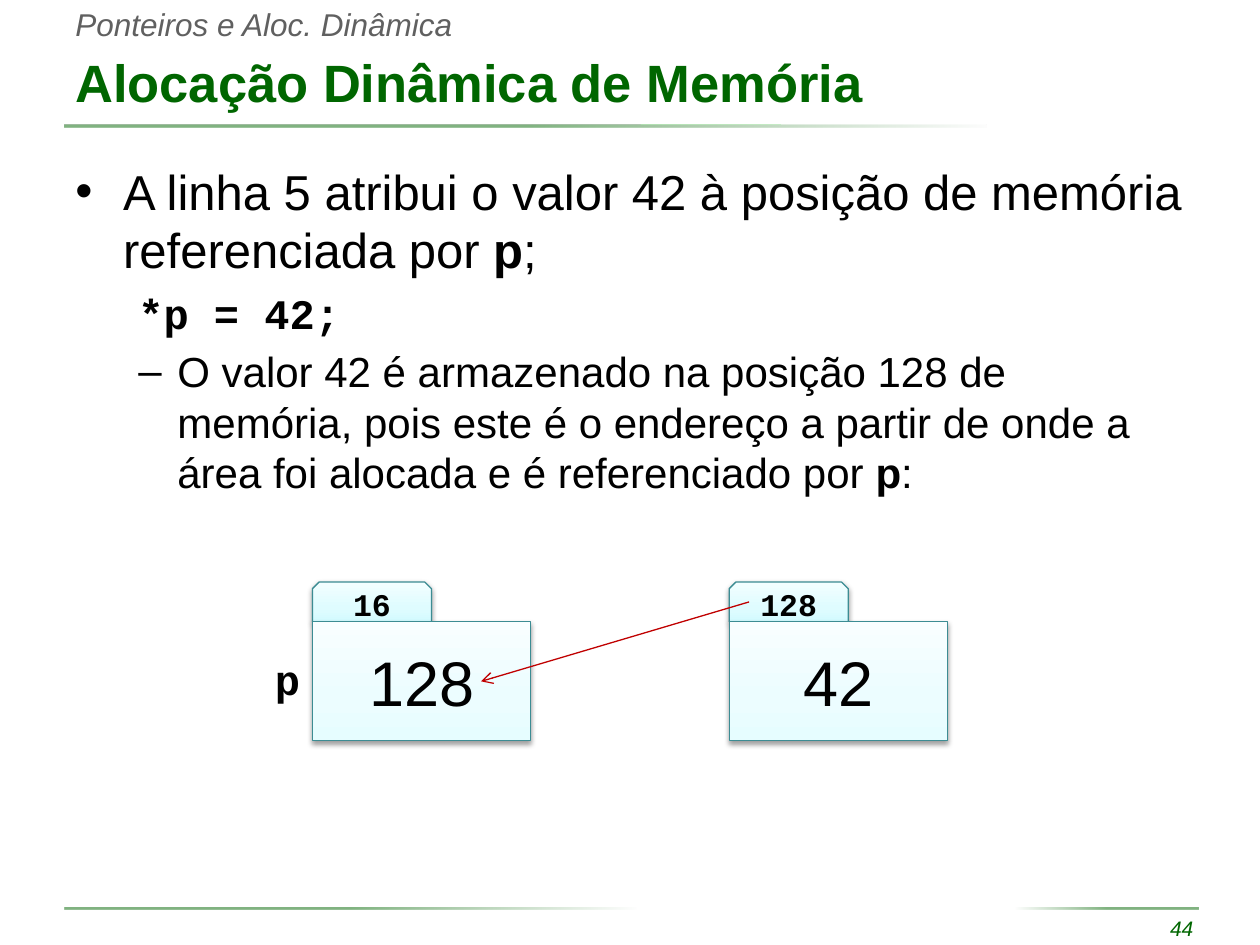
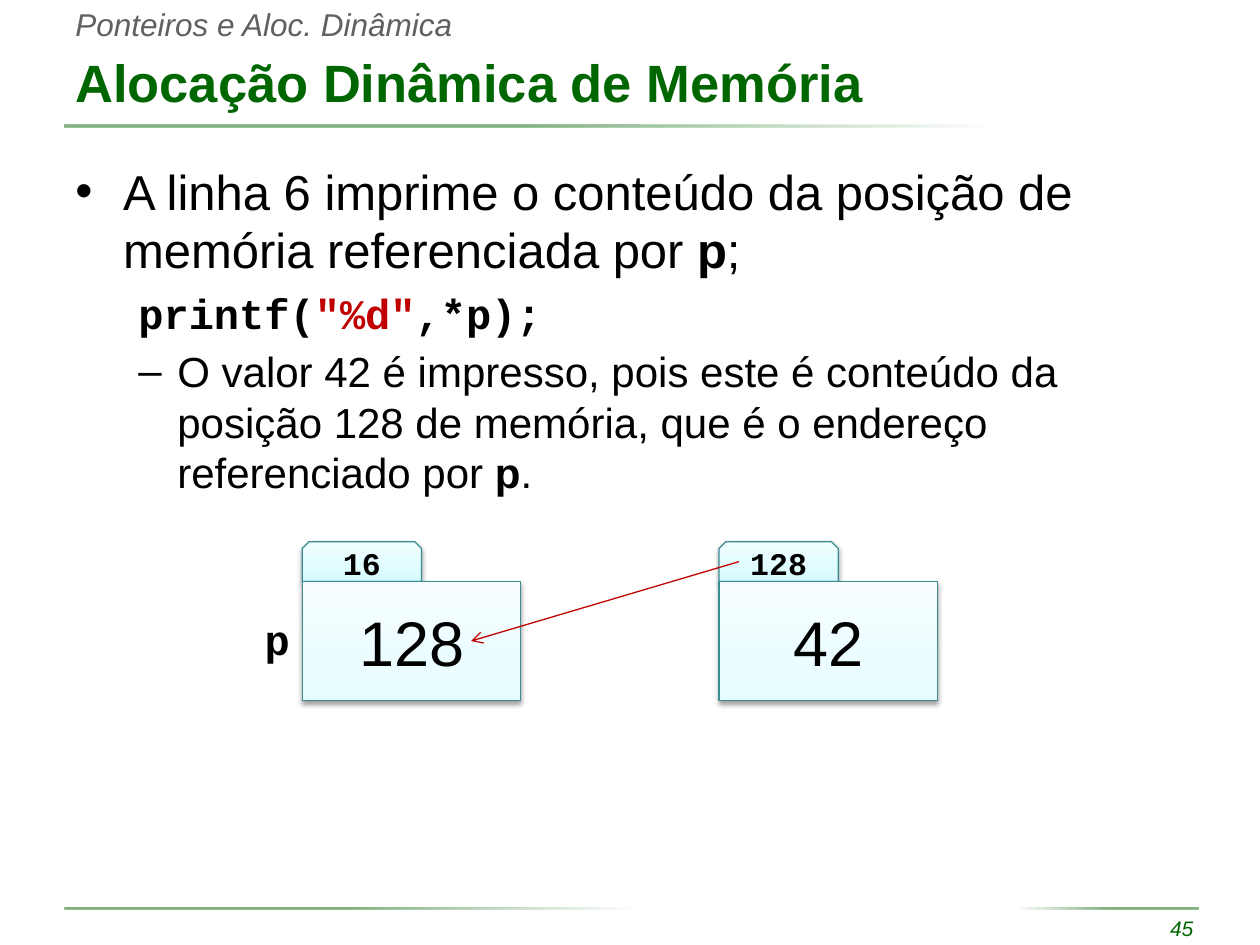
from dataclasses import dataclass

from lxml import etree
from pptx import Presentation
from pptx.dml.color import RGBColor
from pptx.enum.shapes import MSO_CONNECTOR, MSO_SHAPE
from pptx.enum.text import MSO_ANCHOR, PP_ALIGN
from pptx.oxml.ns import qn
from pptx.util import Inches, Pt

GREEN = RGBColor(0x00, 0x66, 0x00)
GRAY = RGBColor(0x60, 0x60, 0x60)
BLACK = RGBColor(0x00, 0x00, 0x00)
RED = RGBColor(0xC0, 0x00, 0x00)
TEAL = RGBColor(0x3C, 0x8C, 0x93)
WHITE = RGBColor(0xFF, 0xFF, 0xFF)
NEAR_WHITE = RGBColor(0xFC, 0xFC, 0xFC)
TAB_TINTS = (RGBColor(0xD3, 0xFB, 0xFF), RGBColor(0xDF, 0xFC, 0xFF), RGBColor(0xF2, 0xFE, 0xFF))
CELL_TINTS = (RGBColor(0xE6, 0xFD, 0xFF), RGBColor(0xEC, 0xFD, 0xFF), RGBColor(0xF8, 0xFE, 0xFF))

SANS, MONO = "Arial", "Courier New"
LEFT, CENTER, RIGHT = PP_ALIGN.LEFT, PP_ALIGN.CENTER, PP_ALIGN.RIGHT
TOP, MIDDLE = MSO_ANCHOR.TOP, MSO_ANCHOR.MIDDLE
RECT, TAB = MSO_SHAPE.RECTANGLE, MSO_SHAPE.SNIP_2_SAME_RECTANGLE
STRAIGHT = MSO_CONNECTOR.STRAIGHT

SLIDE_W, SLIDE_H = 10, 7.5
MARGIN = 0.05 * SLIDE_W
CONTENT_W = SLIDE_W - 2 * MARGIN
RULE_LEFT, RULE_H, FOOTER_TOP = 0.51, 0.02, 0.96 * SLIDE_H
UNIT = 0.315  # grid step of the memory diagram
TAB_COLS, CELL_COLS, CELL_ROWS, CELL_PITCH = 3, 5.5, 3, 10.5


@dataclass(frozen=True)
class Span:
    text: str
    size: float
    font: str = SANS
    color: RGBColor = BLACK
    bold: bool = False
    italic: bool = False


@dataclass(frozen=True)
class Para:
    spans: tuple[Span, ...]
    align: PP_ALIGN = LEFT
    level: int = 0
    margin: float = 0
    indent: float = 0
    bullet: str = ""
    space_before: int = 0  # percent of a line


@dataclass(frozen=True)
class Rule:
    left: float
    top: float
    width: float
    end_color: RGBColor
    angle: int


@dataclass(frozen=True)
class MemoryCell:
    address: str
    value: str


@dataclass(frozen=True)
class Lesson:
    number: int
    body: tuple[Para, ...]
    diagram_left: float
    diagram_top: float


RULES = (
    Rule(RULE_LEFT, 0.99, 7.32, NEAR_WHITE, 0),
    Rule(RULE_LEFT, FOOTER_TOP, 4.54, WHITE, 0),
    Rule(8.06, FOOTER_TOP, 1.45, WHITE, 180),
)
CELLS = (MemoryCell("16", "128"), MemoryCell("128", "42"))


def ending_in_p(text: str, mark: str, size: float) -> tuple[Span, ...]:
    """A sentence that closes with the pointer name in bold and a mark."""
    return Span(text, size), Span("p", size, bold=True), Span(mark, size)


def topic(text: str) -> Para:
    return Para(ending_in_p(text, ";", 28), margin=0.38, indent=-0.38,
                bullet="•", space_before=20)


def code(*pieces: tuple[str, RGBColor]) -> Para:
    spans = tuple(Span(text, 24, MONO, color, bold=True) for text, color in pieces)
    return Para(spans, level=1, margin=0.5, space_before=20)


def detail(text: str, mark: str) -> Para:
    return Para(ending_in_p(text, mark, 24), level=1, margin=0.81, indent=-0.31,
                bullet="–", space_before=20)


LESSONS = (
    Lesson(44, (
        topic("A linha 5 atribui o valor 42 à posição de memória referenciada por "),
        code(("*p = 42;", BLACK)),
        detail("O valor 42 é armazenado na posição 128 de memória, pois este é o "
               "endereço a partir de onde a área foi alocada e é referenciado por ", ":"),
    ), 2.48, 4.62),
    Lesson(45, (
        topic("A linha 6 imprime o conteúdo da posição de memória referenciada por "),
        code(("printf(", BLACK), ('"%d"', RED), (",*p);", BLACK)),
        detail("O valor 42 é impresso, pois este é conteúdo da posição 128 de memória, "
               "que é o endereço referenciado por ", "."),
    ), 2.4, 4.3),
)


def write(frame, paras: tuple[Para, ...], anchor: MSO_ANCHOR = TOP, wrap: bool = True) -> None:
    frame.word_wrap = wrap
    frame.vertical_anchor = anchor
    for index, para in enumerate(paras):
        paragraph = frame.add_paragraph() if index else frame.paragraphs[0]
        paragraph.alignment = para.align
        paragraph.level = para.level
        props = paragraph._p.get_or_add_pPr()
        props.set("marL", str(Inches(para.margin)))
        props.set("indent", str(Inches(para.indent)))
        if para.space_before:
            spacing = etree.SubElement(props, qn("a:spcBef"))
            etree.SubElement(spacing, qn("a:spcPct"), val=str(para.space_before * 1000))
        if para.bullet:
            etree.SubElement(props, qn("a:buFont"), typeface=SANS)
            etree.SubElement(props, qn("a:buChar"), char=para.bullet)
        for span in para.spans:
            run = paragraph.add_run()
            run.text = span.text
            font = run.font
            font.name, font.size = span.font, Pt(span.size)
            font.bold, font.italic = span.bold, span.italic
            font.color.rgb = span.color


def add_text(slide, left: float, top: float, width: float, height: float,
             *paras: Para, anchor: MSO_ANCHOR = TOP, wrap: bool = True) -> None:
    box = slide.shapes.add_textbox(Inches(left), Inches(top), Inches(width), Inches(height))
    write(box.text_frame, paras, anchor, wrap)


def fill_gradient(shape, colors: tuple[RGBColor, ...], middle: int, angle: int,
                  opacity: int = 100) -> None:
    """Three-stop linear fill; the angle runs clockwise."""
    shape.fill.gradient()
    shape.fill.gradient_angle = (360 - angle) % 360
    stops = shape._element.spPr.find(".//" + qn("a:gsLst"))
    for stop in list(stops):
        stops.remove(stop)
    for position, color in zip((0, middle, 100), colors):
        stop = etree.SubElement(stops, qn("a:gs"), pos=str(position * 1000))
        tint = etree.SubElement(stop, qn("a:srgbClr"), val=str(color))
        if opacity < 100:
            etree.SubElement(tint, qn("a:alpha"), val=str(opacity * 1000))


def add_shape(slide, kind: MSO_SHAPE, left: float, top: float, width: float, height: float):
    shape = slide.shapes.add_shape(kind, Inches(left), Inches(top), Inches(width), Inches(height))
    shape.shadow.inherit = False
    return shape


def drop_shadow(shape) -> None:
    effects = shape._element.spPr.find(qn("a:effectLst"))
    shadow = etree.SubElement(effects, qn("a:outerShdw"), blurRad=str(Pt(3.1)),
                              dist=str(Pt(1.6)), dir="5400000", rotWithShape="0")
    color = etree.SubElement(shadow, qn("a:srgbClr"), val=str(BLACK))
    etree.SubElement(color, qn("a:alpha"), val="38000")


def add_memory_part(slide, kind: MSO_SHAPE, left: float, top: float, cols: float, rows: float,
                    tints: tuple[RGBColor, ...], label: Span) -> None:
    shape = add_shape(slide, kind, left, top, cols * UNIT, rows * UNIT)
    fill_gradient(shape, tints, 35, 270)
    shape.line.color.rgb = TEAL
    shape.line.width = Pt(0.75)
    drop_shadow(shape)
    write(shape.text_frame, (Para((label,), CENTER),), MIDDLE)


def add_arrow(slide, start: tuple[float, float], end: tuple[float, float]) -> None:
    arrow = slide.shapes.add_connector(STRAIGHT, *map(Inches, start + end))
    arrow.line.color.rgb = RED
    arrow.line.width = Pt(0.75)
    etree.SubElement(arrow.line._get_or_add_ln(), qn("a:tailEnd"), type="arrow")
    etree.SubElement(arrow._element.spPr, qn("a:effectLst"))


def add_diagram(slide, left: float, top: float) -> None:
    """Pointer p and the memory position whose address it holds."""
    def at(col: float, row: float) -> tuple[float, float]:
        return left + col * UNIT, top + row * UNIT

    for index, cell in enumerate(CELLS):
        col = index * CELL_PITCH
        add_memory_part(slide, TAB, *at(col, 0), TAB_COLS, 1, TAB_TINTS,
                        Span(cell.address, 18, MONO, bold=True))
        add_memory_part(slide, RECT, *at(col, 1), CELL_COLS, CELL_ROWS, CELL_TINTS,
                        Span(cell.value, 36))
    add_text(slide, left - 0.4, top + 0.52, 0.4, 0.5,
             Para((Span("p", 24, MONO, bold=True),), RIGHT), wrap=False)
    add_arrow(slide, at(11, 0.5), at(4.25, 2.5))


def add_frame(slide, number: int) -> None:
    """Header, title, rules and slide number."""
    add_text(slide, 7.76, 7.22, 1.81, 0.3,
             Para((Span(str(number), 12, color=GREEN, italic=True),), RIGHT, space_before=50))
    for rule in RULES:
        bar = add_shape(slide, RECT, rule.left, rule.top, rule.width, RULE_H)
        fill_gradient(bar, (GREEN, GREEN, rule.end_color), 50, rule.angle, opacity=50)
        bar.line.fill.background()
    add_text(slide, MARGIN, -0.01, 3.22, 0.4,
             Para((Span("Ponteiros e Aloc. Dinâmica", 18, color=GRAY, italic=True),)), wrap=False)
    add_text(slide, MARGIN, 0.3, CONTENT_W, 0.69,
             Para((Span("Alocação Dinâmica de Memória", 30, color=GREEN, bold=True),)),
             anchor=MIDDLE)


def main() -> None:
    deck = Presentation()
    deck.slide_width, deck.slide_height = Inches(SLIDE_W), Inches(SLIDE_H)
    blank = deck.slide_layouts[6]
    for lesson in LESSONS:
        slide = deck.slides.add_slide(blank)
        add_frame(slide, lesson.number)
        add_text(slide, MARGIN, 1.23, CONTENT_W, 2.8, *lesson.body)
        add_diagram(slide, lesson.diagram_left, lesson.diagram_top)
    deck.save("out.pptx")


if __name__ == "__main__":
    main()
